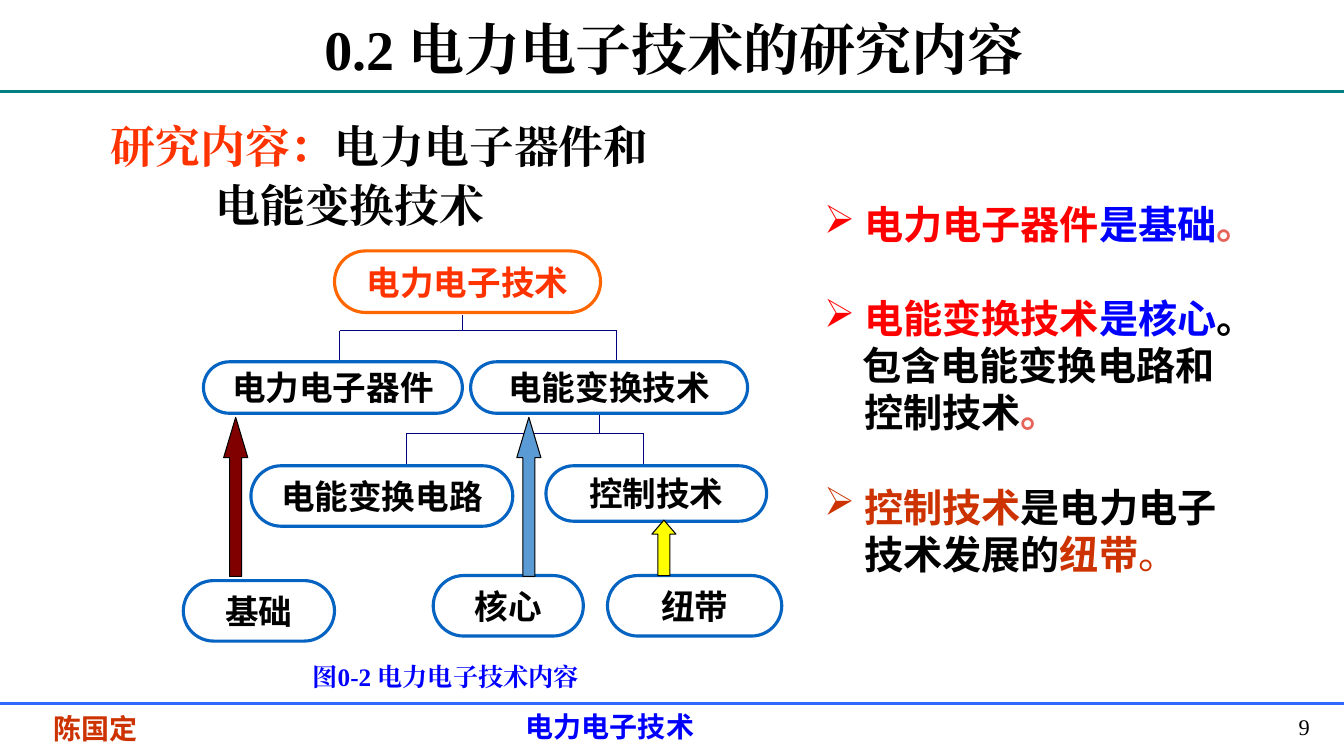
import dataclasses
import typing

import pptx
import pptx.dml.color
import pptx.enum.shapes
import pptx.enum.text
import pptx.oxml.ns
import pptx.oxml.xmlchemy
import pptx.util

SHAPE = pptx.enum.shapes.MSO_SHAPE
ALIGN = pptx.enum.text.PP_ALIGN
ANCHOR = pptx.enum.text.MSO_ANCHOR

prs = pptx.Presentation()
prs.slide_width = pptx.util.Inches(13.34)
prs.slide_height = pptx.util.Inches(7.5)
s = prs.slides.add_slide(prs.slide_layouts[6])

COLUMNS, ROWS = 64, 36
BLACK, RED, BLUE, RUST, CORAL = "000000", "FF0000", "0000FF", "CC3300", "E56359"
ORANGE_RED, NODE_BLUE, NAVY = "FF3300", "0563C1", "000080"


@dataclasses.dataclass
class Box:
    col: float
    row: float
    cols: float
    rows: float


@dataclasses.dataclass
class Run:
    text: str
    color: str = BLACK
    bold: bool = True


@dataclasses.dataclass
class Para:
    runs: list[Run]
    margin: float = 0
    indent: float = 0
    before: float = 0
    bullet: str = ""


@dataclasses.dataclass
class Label:
    box: Box
    paras: list[Para]
    size: float
    font: str = "Times New Roman"
    align: typing.Any = ALIGN.LEFT
    anchor: typing.Any = ANCHOR.TOP
    insets: tuple[float, float] = (0.1, 0.05)
    wrap: bool = True
    spacing: float = 1


@dataclasses.dataclass
class Node:
    text: str
    box: Box
    line: str = NODE_BLUE
    color: str = BLACK


@dataclasses.dataclass
class Branch:
    """A stem that forks into a left and a right child."""
    stem: float
    left: float
    right: float
    top: float
    bar: float
    bottom: float


@dataclasses.dataclass
class Arrow:
    box: Box
    fill: str
    head: float


def rgb(color: str) -> pptx.dml.color.RGBColor:
    return pptx.dml.color.RGBColor.from_string(color)


def x(col: float) -> int:
    return round(prs.slide_width * col / COLUMNS)


def y(row: float) -> int:
    return round(prs.slide_height * row / ROWS)


def place(box: Box) -> tuple[int, int, int, int]:
    return x(box.col), y(box.row), x(box.cols), y(box.rows)


def element(tag: str, **attributes: str) -> typing.Any:
    el = pptx.oxml.xmlchemy.OxmlElement(tag)
    for name, value in attributes.items():
        el.set(name, value)
    return el


def write(sp: typing.Any, label: Label) -> None:
    tf = sp.text_frame
    tf.word_wrap = label.wrap
    tf.vertical_anchor = label.anchor
    tf.margin_left = tf.margin_right = pptx.util.Inches(label.insets[0])
    tf.margin_top = tf.margin_bottom = pptx.util.Inches(label.insets[1])
    for i, para in enumerate(label.paras):
        p = tf.add_paragraph() if i else tf.paragraphs[0]
        p.alignment = label.align
        p.line_spacing = label.spacing
        p.space_before = pptx.util.Pt(para.before)
        pPr = p._p.get_or_add_pPr()
        pPr.set("marL", str(pptx.util.Inches(para.margin)))
        pPr.set("indent", str(pptx.util.Inches(para.indent)))
        if para.bullet:
            bullet_color = element("a:buClr")
            bullet_color.append(element("a:srgbClr", val=para.bullet))
            pPr.extend([bullet_color, element("a:buChar", char="➢")])
        for run in para.runs:
            r = p.add_run()
            r.text = run.text
            r.font.name = label.font
            r.font.size = pptx.util.Pt(label.size)
            r.font.bold = run.bold
            r.font.color.rgb = rgb(run.color)
            latin = r.font._element.find(pptx.oxml.ns.qn("a:latin"))
            latin.addnext(element("a:ea", typeface=label.font))


def add_label(label: Label) -> None:
    write(s.shapes.add_textbox(*place(label.box)), label)


def add_preset(kind: typing.Any, box: Box, line: str, width: float) -> typing.Any:
    sp = s.shapes.add_shape(kind, *place(box))
    sp.shadow.inherit = False
    sp.fill.background()
    sp.line.color.rgb = rgb(line)
    sp.line.width = pptx.util.Pt(width)
    return sp


def add_node(node: Node) -> None:
    sp = add_preset(SHAPE.ROUNDED_RECTANGLE, node.box, node.line, 2.25)
    sp.adjustments[0] = 0.5
    write(sp, Label(node.box, [Para([Run(node.text, node.color)])], 24, "Arial",
                    ALIGN.CENTER, ANCHOR.MIDDLE, (0.07, 0.03), False))


def add_arrow(arrow: Arrow) -> None:
    sp = add_preset(SHAPE.UP_ARROW, arrow.box, BLACK, 0.75)
    sp.adjustments[0], sp.adjustments[1] = 0.5, arrow.head
    sp.fill.solid()
    sp.fill.fore_color.rgb = rgb(arrow.fill)


def add_line(x1: float, y1: float, x2: float, y2: float, color: str, width: float) -> None:
    line = s.shapes.add_connector(pptx.enum.shapes.MSO_CONNECTOR.STRAIGHT,
                                  x(x1), y(y1), x(x2), y(y2))
    line.line.color.rgb = rgb(color)
    line.line.width = pptx.util.Pt(width)
    line._element.spPr.append(element("a:effectLst"))


def add_branch(b: Branch) -> None:
    for ends in [(b.stem, b.top, b.stem, b.bar), (b.left, b.bar, b.right, b.bar),
                 (b.left, b.bar, b.left, b.bottom), (b.right, b.bar, b.right, b.bottom)]:
        add_line(*ends, NAVY, 0.75)


GAP = 33.6
LABELS = [
    Label(Box(24.57, 33.79, 8.97, 1.58), [Para([Run("电力电子技术", BLUE)])], 20, "Arial",
          insets=(0.1, 0), wrap=False),
    Label(Box(0, 33.89, 9.07, 1.58), [Para([Run("陈国定", RUST)])], 20, "Arial",
          ALIGN.CENTER, insets=(0, 0)),
    Label(Box(60.21, 33.7, 3.79, 1.78), [Para([Run("9", bold=False)])], 16,
          align=ALIGN.CENTER, insets=(0.02, 0.05)),
    Label(Box(14.97, 0.82, 35.36, 3.55), [Para([Run("0.2 电力电子技术的研究内容")])], 40,
          spacing=0.9),
    Label(Box(38.77, 9.31, 20.77, 23.23), [
        Para([Run("电力电子器件", RED), Run("是基础", BLUE), Run("。", CORAL)],
             0.4, -0.4, bullet=RED),
        Para([Run("电能变换技术", RED), Run("是核心", BLUE), Run("。")],
             0.4, -0.4, GAP, RED),
        Para([Run("包含电能变换电路和控制技术"), Run("。", CORAL)], 0.4, -0.02),
        Para([Run("控制技术", RUST), Run("是电力电子技术发展的"), Run("纽带", RUST),
              Run("。", RUST, False)], 0.4, -0.4, GAP, RUST),
    ], 28, "Calibri"),
    Label(Box(4.8, 5.14, 31.38, 6.05), [
        Para([Run("研究内容：", ORANGE_RED), Run("电力电子器件和")]),
        Para([Run("电能变换技术")], indent=1.04),
    ], 32, spacing=1.1),
    Label(Box(13.96, 31.25, 14.54, 1.92), [Para([Run("图0-2 电力电子技术内容", BLUE)])], 18,
          align=ALIGN.CENTER, wrap=False),
]
NODES = [
    Node("电力电子技术", Box(15.93, 11.95, 12.67, 2.93), "FF6600", ORANGE_RED),
    Node("电力电子器件", Box(9.69, 17.23, 12.33, 2.45)),
    Node("电能变换技术", Box(22.41, 17.23, 13.19, 2.45)),
    Node("电能变换电路", Box(11.95, 22.18, 12.47, 2.88)),
    Node("控制技术", Box(26, 22.18, 10.51, 2.64)),
    Node("基础", Box(8.73, 27.65, 7.2, 2.88)),
    Node("核心", Box(20.63, 27.41, 7.15, 2.88)),
    Node("纽带", Box(28.93, 27.41, 8.3, 2.88)),
]
BRANCHES = [Branch(22.02, 16.17, 29.36, 14.98, 15.74, 17.23),
            Branch(28.55, 19.38, 30.66, 19.68, 20.64, 22.18)]
ARROWS = [Arrow(Box(10.65, 19.87, 1.15, 7.58), "800000", 1.67),
          Arrow(Box(24.61, 19.87, 1.15, 7.58), "5B9BD5", 1.67),
          Arrow(Box(31.04, 24.77, 1.15, 2.64), "FFFF00", 0.58)]

add_line(0, 4.37, COLUMNS, 4.37, "008080", 2)
add_line(0, 33.5, COLUMNS, 33.5, "3366FF", 1.5)
for draw, items in [(add_label, LABELS), (add_branch, BRANCHES),
                    (add_node, NODES), (add_arrow, ARROWS)]:
    for item in items:
        draw(item)

prs.save("out.pptx")
